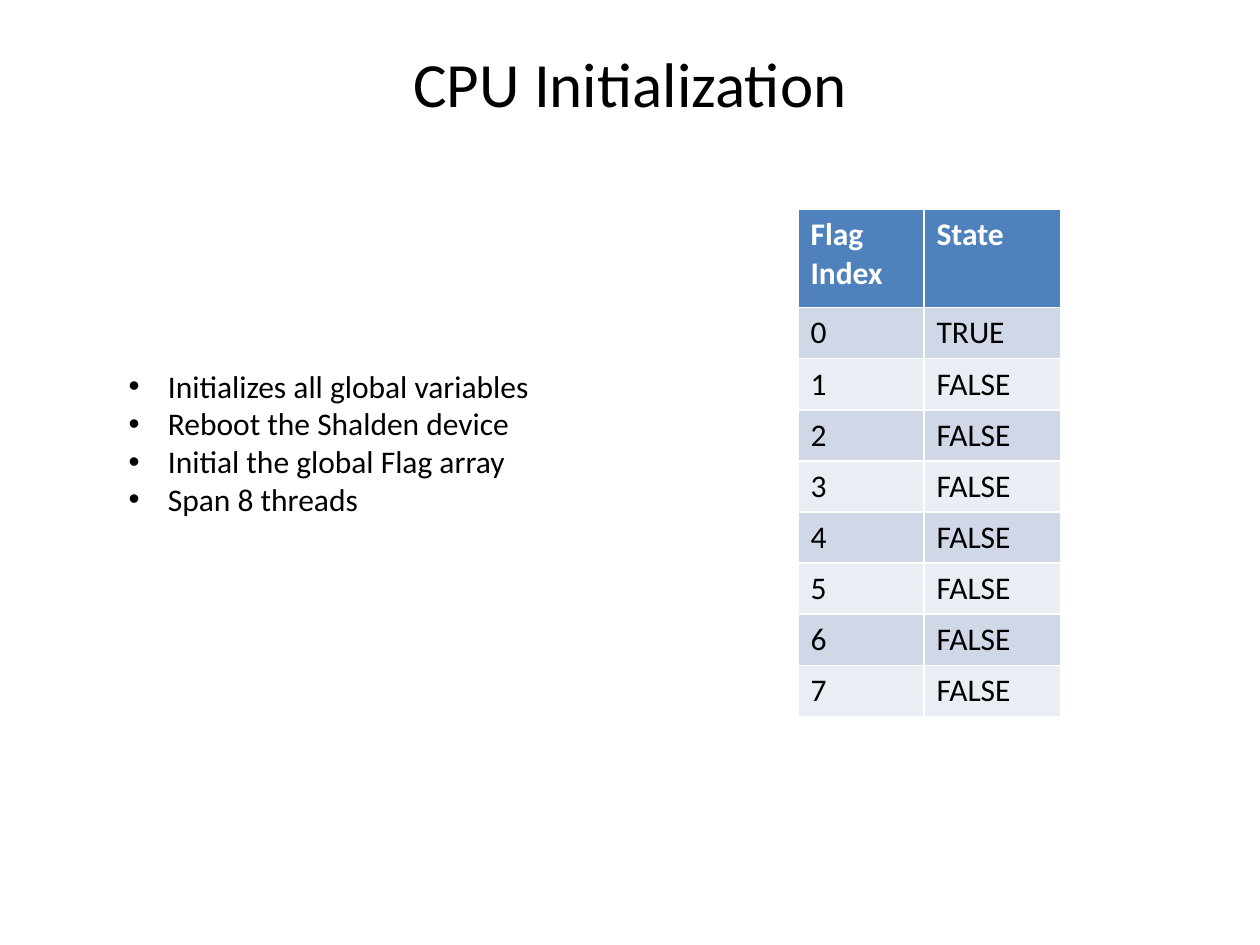
from pptx import Presentation
from pptx.dml.color import RGBColor as RGB
from pptx.enum.text import MSO_ANCHOR as Anchor, MSO_AUTO_SIZE as AutoSize, PP_ALIGN as Align
from pptx.util import Pt

TITLE = "CPU Initialization"
STEPS = [
    "Initializes all global variables",
    "Reboot the Shalden device",
    "Initial the global Flag array",
    "Span 8 threads",
]
HEADER = ("Flag Index", "State")
FLAGS = [(str(i), "TRUE" if i == 0 else "FALSE") for i in range(8)]

THEME = {
    "font": "Calibri",
    "title_size": 36,
    "text_size": 18,
    "text": RGB.from_string("000000"),
    "header_text": RGB.from_string("FFFFFF"),
    "header_fill": RGB.from_string("4F81BD"),
    "bands": (RGB.from_string("D0D8E8"), RGB.from_string("E9EDF4")),
}

TITLE_BOX = (36, 21.6, 648, 50.4)
STEPS_BOX = (66.24, 205.9, 588.24, 116.6)
TABLE_LEFT, TABLE_TOP = 456, 119.8
COLUMN_WIDTHS = (72, 78)
HEADER_HEIGHT, ROW_HEIGHT = 56, 29.2
BULLET_INDENT = 22.5


def style(p, size, color, bold=False):
    p.font.name = THEME["font"]
    p.font.size = Pt(size)
    p.font.color.rgb = color
    p.font.bold = bold


def place(sp, box):
    sp.left, sp.top, sp.width, sp.height = (Pt(v) for v in box)
    sp.text_frame.auto_size = AutoSize.NONE
    sp.text_frame.word_wrap = True
    return sp.text_frame


def add_title(slide):
    tf = place(slide.shapes.title, TITLE_BOX)
    tf.vertical_anchor = Anchor.MIDDLE
    tf.text = TITLE
    p = tf.paragraphs[0]
    p.alignment = Align.CENTER
    style(p, THEME["title_size"], THEME["text"])


def add_steps(slide):
    tf = place(slide.placeholders[1], STEPS_BOX)
    tf.vertical_anchor = Anchor.TOP
    tf.text = "\n".join(STEPS)
    for p in tf.paragraphs:
        pPr = p._p.get_or_add_pPr()
        pPr.set("marL", str(Pt(BULLET_INDENT)))
        pPr.set("indent", str(-Pt(BULLET_INDENT)))
        p.space_before = Pt(0)
        style(p, THEME["text_size"], THEME["text"])


def add_flags(slide):
    rows = [HEADER] + FLAGS
    height = HEADER_HEIGHT + ROW_HEIGHT * len(FLAGS)
    table = slide.shapes.add_table(
        len(rows), len(HEADER), Pt(TABLE_LEFT), Pt(TABLE_TOP),
        Pt(sum(COLUMN_WIDTHS)), Pt(height)).table
    for column, width in zip(table.columns, COLUMN_WIDTHS):
        column.width = Pt(width)
    for r, values in enumerate(rows):
        is_header = r == 0
        table.rows[r].height = Pt(HEADER_HEIGHT if is_header else ROW_HEIGHT)
        fill = THEME["header_fill"] if is_header else THEME["bands"][(r - 1) % 2]
        color = THEME["header_text"] if is_header else THEME["text"]
        for c, value in enumerate(values):
            cell = table.cell(r, c)
            cell.fill.solid()
            cell.fill.fore_color.rgb = fill
            cell.text = value
            style(cell.text_frame.paragraphs[0], THEME["text_size"], color, is_header)


def main():
    prs = Presentation()
    prs.slide_width, prs.slide_height = Pt(720), Pt(540)
    slide = prs.slides.add_slide(prs.slide_layouts[1])
    add_title(slide)
    add_steps(slide)
    add_flags(slide)
    prs.save("out.pptx")


if __name__ == "__main__":
    main()
